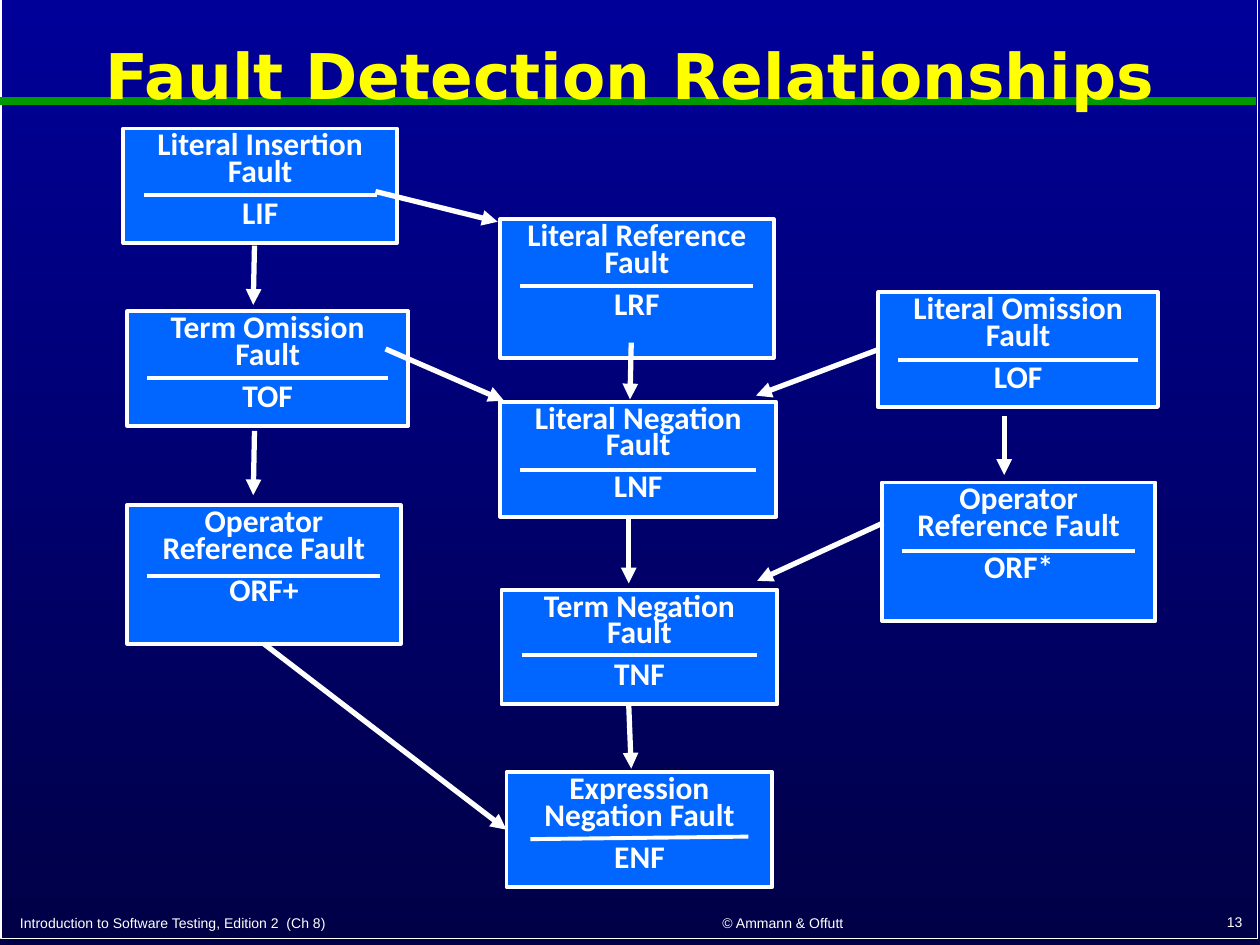
from dataclasses import dataclass

from lxml.etree import SubElement
from pptx import Presentation
from pptx.dml.color import RGBColor
from pptx.enum.shapes import MSO_CONNECTOR, MSO_SHAPE
from pptx.enum.text import MSO_ANCHOR, MSO_AUTO_SIZE, PP_ALIGN
from pptx.oxml.ns import qn
from pptx.util import Inches, Pt

BOTTOM, LEFT = 2, 1  # connection sites of a rectangle


@dataclass(frozen=True)
class Theme:
    sky: RGBColor = RGBColor(0x00, 0x00, 0x99)
    night: RGBColor = RGBColor(0x00, 0x00, 0x47)
    green: RGBColor = RGBColor(0x00, 0x99, 0x00)
    yellow: RGBColor = RGBColor(0xFF, 0xFF, 0x00)
    blue: RGBColor = RGBColor(0x00, 0x66, 0xFF)
    white: RGBColor = RGBColor(0xFF, 0xFF, 0xFF)
    title_size: Pt = Pt(36)
    fault_size: Pt = Pt(18)
    footer_size: Pt = Pt(8)
    frame_line: Pt = Pt(1)
    box_line: Pt = Pt(2.25)
    arrow_line: Pt = Pt(3)
    band_line: Pt = Pt(4.5)


@dataclass(frozen=True)
class Fault:
    name: str
    code: str
    left: float
    top: float
    width: float
    height: float = 0.91
    rule_drop: float = 0.53
    rule_inset: float = 0.16
    rule_rise: float = 0


@dataclass(frozen=True)
class Arrow:
    start: tuple[float, float]
    end: tuple[float, float]
    leaves: tuple[str, int] | None = None
    enters: tuple[str, int] | None = None


@dataclass(frozen=True)
class Footer:
    text: str
    left: float
    top: float
    width: float
    height: float
    align: PP_ALIGN


THEME = Theme()

FAULTS = [
    Fault("Literal Insertion Fault", "LIF", 0.98, 1.02, 2.17),
    Fault("Term Omission Fault", "TOF", 1.01, 2.47, 2.23),
    Fault("Operator Reference Fault", "ORF+", 1.01, 4.01, 2.17, 1.1, 0.56),
    Fault("Literal Reference Fault", "LRF", 3.97, 1.74, 2.17, 1.1),
    Fault("Literal Negation Fault", "LNF", 3.97, 3.19, 2.19, rule_drop=0.54),
    Fault("Term Negation Fault", "TNF", 3.98, 4.68, 2.19, rule_drop=0.52),
    Fault("Expression Negation Fault", "ENF", 4.02, 6.13, 2.11,
          rule_inset=0.19, rule_rise=0.02),
    Fault("Literal Omission Fault", "LOF", 6.97, 2.32, 2.22, rule_drop=0.54),
    Fault("Operator Reference Fault", "ORF*", 7, 3.83, 2.17, 1.1, 0.54),
]

ARROWS = [
    Arrow((2.02, 1.95), (2.01, 2.42)),  # LIF to TOF
    Arrow((2.98, 1.52), (3.95, 1.76)),  # LIF to LRF
    Arrow((2.02, 3.42), (2.01, 3.93)),  # TOF to ORF+
    Arrow((3.06, 2.77), (4, 3.18)),  # TOF to LNF
    Arrow((2.1, 5.11), (4.02, 6.59), ("ORF+", BOTTOM), ("ENF", LEFT)),
    Arrow((5.01, 2.72), (5, 3.17)),  # LRF to LNF
    Arrow((4.99, 4.11), (4.99, 4.63)),  # LNF to TNF
    Arrow((4.99, 5.59), (5.01, 6.1)),  # TNF to ENF
    Arrow((6.97, 2.78), (6, 3.14), ("LOF", LEFT)),  # LOF to LNF
    Arrow((7.97, 3.3), (7.97, 3.77)),  # LOF to ORF*
    Arrow((7.01, 4.15), (6.01, 4.61)),  # ORF* to TNF
]

FOOTERS = [
    Footer("Introduction to Software Testing, Edition 2  (Ch 8)",
           0.06, 7.06, 4.29, 0.38, PP_ALIGN.LEFT),
    Footer("© Ammann & Offutt", 4.63, 7.05, 3.17, 0.39, PP_ALIGN.CENTER),
    Footer("13", 7.88, 7.03, 2.08, 0.4, PP_ALIGN.RIGHT),
]


def style_font(para, name: str, size: Pt, color: RGBColor, bold: bool = False) -> None:
    para.font.name = name
    para.font.size = size
    para.font.bold = bold
    para.font.color.rgb = color


def add_line(shapes, start: tuple, end: tuple, color: RGBColor, width: Pt):
    line = shapes.add_connector(
        MSO_CONNECTOR.STRAIGHT, *(Inches(value) for value in (*start, *end)))
    line.line.color.rgb = color
    line.line.width = width
    SubElement(line.element.spPr, qn("a:effectLst"))
    return line


def add_rectangle(shapes, left: float, top: float, width: float, height: float,
                  line_width: Pt):
    box = shapes.add_shape(
        MSO_SHAPE.RECTANGLE, *(Inches(value) for value in (left, top, width, height)))
    box.shadow.inherit = False
    box.line.color.rgb = THEME.white
    box.line.width = line_width
    return box


def add_fault(page, fault: Fault):
    group = page.shapes.add_group_shape()
    box = add_rectangle(group.shapes, fault.left, fault.top, fault.width,
                        fault.height, THEME.box_line)
    box.fill.solid()
    box.fill.fore_color.rgb = THEME.blue
    frame = box.text_frame
    frame.word_wrap = True
    frame.vertical_anchor = MSO_ANCHOR.TOP
    frame.text = f"{fault.name}\n{fault.code}"
    for para in frame.paragraphs:
        para.alignment = PP_ALIGN.CENTER
        para.line_spacing = 0.7
        style_font(para, "Calibri", THEME.fault_size, THEME.white, bold=True)
    frame.paragraphs[1].space_before = Pt(9)
    # Rule between the name and the code
    rule_y = fault.top + fault.rule_drop
    add_line(group.shapes, (fault.left + fault.rule_inset, rule_y),
             (fault.left + fault.width - fault.rule_inset, rule_y - fault.rule_rise),
             THEME.white, THEME.box_line)
    return box


def add_arrow(page, arrow: Arrow, boxes: dict) -> None:
    line = add_line(page.shapes, arrow.start, arrow.end, THEME.white, THEME.arrow_line)
    SubElement(line.line._get_or_add_ln(), qn("a:tailEnd"), type="triangle")
    if arrow.leaves:
        code, site = arrow.leaves
        line.begin_connect(boxes[code], site)
    if arrow.enters:
        code, site = arrow.enters
        line.end_connect(boxes[code], site)


def add_footer(page, footer: Footer) -> None:
    box = page.shapes.add_textbox(Inches(footer.left), Inches(footer.top),
                                  Inches(footer.width), Inches(footer.height))
    frame = box.text_frame
    frame.word_wrap = True
    frame.vertical_anchor = MSO_ANCHOR.BOTTOM
    frame.text = footer.text
    para = frame.paragraphs[0]
    para.alignment = footer.align
    style_font(para, "Arial", THEME.footer_size, THEME.white)


def add_backdrop(page) -> None:
    fill = page.background.fill
    fill.gradient()
    fill.gradient_angle = 270
    for stop, color in zip(fill.gradient_stops, (THEME.sky, THEME.night)):
        stop.color.rgb = color
    border = add_rectangle(page.shapes, 0.01, -0.02, 9.97, 7.47, THEME.frame_line)
    border.fill.background()
    band = add_line(page.shapes, (0, 0.8), (9.97, 0.8), THEME.green, THEME.band_line)
    # Both lie behind the title
    for part in (border, band):
        page.shapes.title.element.addprevious(part.element)


def set_title(page, text: str) -> None:
    title = page.shapes.title
    title.left, title.top = Inches(0.65), Inches(0.11)
    title.width, title.height = Inches(8.7), Inches(1.03)
    frame = title.text_frame
    frame.text = text
    frame.auto_size = MSO_AUTO_SIZE.NONE
    frame.vertical_anchor = MSO_ANCHOR.MIDDLE
    para = frame.paragraphs[0]
    para.alignment = PP_ALIGN.CENTER
    para.line_spacing = 0.9
    style_font(para, "DejaVu Sans", THEME.title_size, THEME.yellow, bold=True)


def main() -> None:
    deck = Presentation()
    deck.slide_width, deck.slide_height = Inches(10), Inches(7.5)
    page = deck.slides.add_slide(deck.slide_layouts.get_by_name("Title Only"))
    add_backdrop(page)
    set_title(page, "Fault Detection Relationships")
    boxes = {fault.code: add_fault(page, fault) for fault in FAULTS}
    for arrow in ARROWS:
        add_arrow(page, arrow, boxes)
    for footer in FOOTERS:
        add_footer(page, footer)
    deck.save("out.pptx")


if __name__ == "__main__":
    main()
